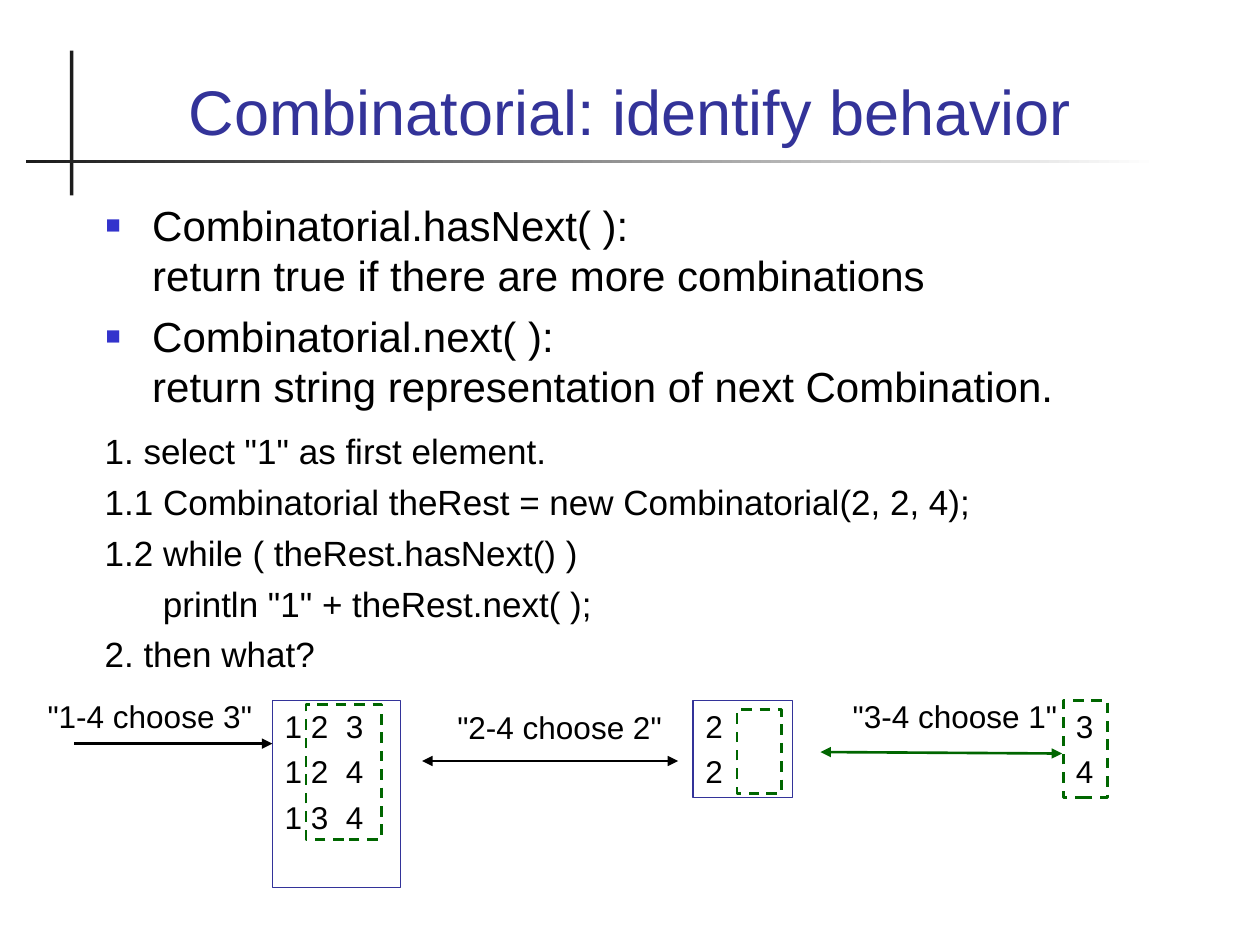
from pptx import Presentation
from pptx import util as u
from pptx.dml import color
from pptx.enum import dml, shapes, text
from pptx.oxml import ns, xmlchemy

FONT = "Arial"
BLACK, INK, NAVY, BLUE, GREEN = "000000", "1C1C1C", "333399", "3333CC", "006600"


def rgb(code):
    """Turn a hex string into a colour."""
    return color.RGBColor.from_string(code)


def add_child(parent, tag, **attributes):
    """Append an XML element with the given attributes and return it."""
    child = xmlchemy.OxmlElement(tag)
    for name, value in attributes.items():
        child.set(name, str(value))
    parent.append(child)
    return child


def place(box, left, top, width, height):
    """Return a part's position and size in lengths, relative to its box."""
    return u.Cm(box[0] + left), u.Cm(box[1] + top), u.Cm(width), u.Cm(height)


def write(frame, lines, size, code=BLACK, before=0, bullet=False):
    """Fill a text frame with one paragraph per line of text."""
    frame.word_wrap = True
    for index, line in enumerate(lines):
        para = frame.paragraphs[0] if index == 0 else frame.add_paragraph()
        para.alignment = text.PP_ALIGN.LEFT
        if index:
            para.space_before = u.Pt(before)
        if bullet:
            properties = para._p.get_or_add_pPr()
            properties.set("marL", str(u.Cm(0.94)))
            properties.set("indent", str(-u.Cm(0.94)))
            add_child(add_child(properties, "a:buClr"), "a:srgbClr", val=BLUE)
            add_child(properties, "a:buSzPct", val=60000)
            add_child(properties, "a:buFont", typeface=FONT)
            add_child(properties, "a:buChar", char="■")
        para.font.size = u.Pt(size)
        for part_index, part in enumerate(line.split("\n")):
            if part_index:
                para.add_line_break()
            span = para.add_run()
            span.text = part
            span.font.name = FONT
            span.font.size = u.Pt(size)
            span.font.color.rgb = rgb(code)


def add_text(page, area, lines, size, **style):
    """Add a text box and return its frame."""
    frame = page.shapes.add_textbox(*area).text_frame
    write(frame, lines, size, **style)
    return frame


def add_bar(page, area):
    """Add a dark rule without an outline and return it."""
    bar = page.shapes.add_shape(shapes.MSO_SHAPE.RECTANGLE, *area)
    bar.shadow.inherit = False
    bar.line.fill.background()
    bar.fill.solid()
    bar.fill.fore_color.rgb = rgb(INK)
    return bar


def add_frame(page, area, rows=(), dashed=False):
    """Add an unfilled frame that may hold rows of numbers."""
    frame = page.shapes.add_shape(shapes.MSO_SHAPE.RECTANGLE, *area)
    frame.shadow.inherit = False
    frame.fill.background()
    frame.line.color.rgb = rgb(GREEN if dashed else NAVY)
    frame.line.width = u.Pt(1.5 if dashed else 0.75)
    if dashed:
        frame.line.dash_style = dml.MSO_LINE.DASH
    if rows:
        frame.text_frame.vertical_anchor = text.MSO_ANCHOR.TOP
        write(frame.text_frame, rows, 18, before=4.5)


def add_arrow(page, box, start, end, code, width, both=True):
    """Add an arrow between two points given relative to the box."""
    points = [u.Cm(box[axis] + point[axis]) for point in (start, end) for axis in (0, 1)]
    arrow = page.shapes.add_connector(shapes.MSO_CONNECTOR.STRAIGHT, *points)
    arrow.line.color.rgb = rgb(code)
    arrow.line.width = u.Pt(width)
    line = arrow._element.spPr.find(ns.qn("a:ln"))
    if both:
        add_child(line, "a:headEnd", type="triangle")
    add_child(line, "a:tailEnd", type="triangle")
    add_child(arrow._element.spPr, "a:effectLst")


def add_header(page, box):
    """Place the crossed rules and the title."""
    add_bar(page, place(box, 0.88, 0.31, 0.07, 2.92))
    rule = add_bar(page, place(box, 0, 2.52, 22.83, 0.06))
    rule.fill.gradient()
    rule.fill.gradient_angle = 180
    for stop, code, position in zip(rule.fill.gradient_stops, ("FFFFFF", INK), (0, 1)):
        stop.color.rgb = rgb(code)
        stop.position = position
    frame = add_text(page, place(box, 1.17, 0, 22, 2.41),
                     ["Combinatorial: identify behavior"], 36, code=NAVY)
    frame.vertical_anchor = text.MSO_ANCHOR.BOTTOM
    frame.paragraphs[0].alignment = text.PP_ALIGN.CENTER


def add_behaviors(page, box):
    """Place the bulleted methods."""
    lines = [
        "Combinatorial.hasNext( ):\nreturn true if there are more combinations",
        "Combinatorial.next( ):\nreturn string representation of next Combination.",
    ]
    add_text(page, place(box, 0, 0, 22, 4.6), lines, 24, before=6, bullet=True)


def add_steps(page, box):
    """Place the steps of the algorithm."""
    lines = [
        '1. select "1" as first element.',
        "1.1 Combinatorial theRest = new Combinatorial(2, 2, 4);",
        "1.2 while ( theRest.hasNext() )",
        '      println "1" + theRest.next( );',
        "2. then what?",
    ]
    add_text(page, place(box, 0, 0, 22, 5.03), lines, 20, before=5)


def add_diagram(page, box):
    """Place the chain of nested selections."""
    rows = ["1 2  3", "1 2  4", "1 3  4"]
    add_frame(page, place(box, 4.78, 0.2, 2.59, 3.78), rows)
    add_frame(page, place(box, 5.46, 0.28, 1.52, 2.72), dashed=True)
    add_frame(page, place(box, 13.26, 0.2, 2.01, 1.96), ["2", "2"])
    add_frame(page, place(box, 14.15, 0.38, 0.89, 1.7), dashed=True)
    add_frame(page, place(box, 20.73, 0.2, 0.89, 1.96), ["3", "4"], dashed=True)
    add_arrow(page, box, (0.79, 1.07), (4.78, 1.07), BLACK, 1.5, both=False)
    add_arrow(page, box, (7.8, 1.42), (12.96, 1.42), BLACK, 0.75)
    add_arrow(page, box, (15.83, 1.24), (20.7, 1.27), GREEN, 1.5)
    labels = [
        (0, 0, 4.78, '"1-4 choose 3"'),
        (8.26, 0.23, 4.78, '"2-4 choose 2"'),
        (16.23, 0, 4.78, '"3-4 choose 1"'),
    ]
    for left, top, width, label in labels:
        add_text(page, place(box, left, top, width, 1.02), [label], 18)


def main():
    """Build and save the deck."""
    deck = Presentation()
    deck.slide_width, deck.slide_height = u.Cm(25.4), u.Cm(19.05)
    page = deck.slides.add_slide(deck.slide_layouts[6])
    add_header(page, (0.53, 0.71))
    add_behaviors(page, (1.88, 3.89))
    add_steps(page, (1.86, 8.54))
    add_diagram(page, (0.71, 13.92))
    deck.save("out.pptx")


if __name__ == "__main__":
    main()
